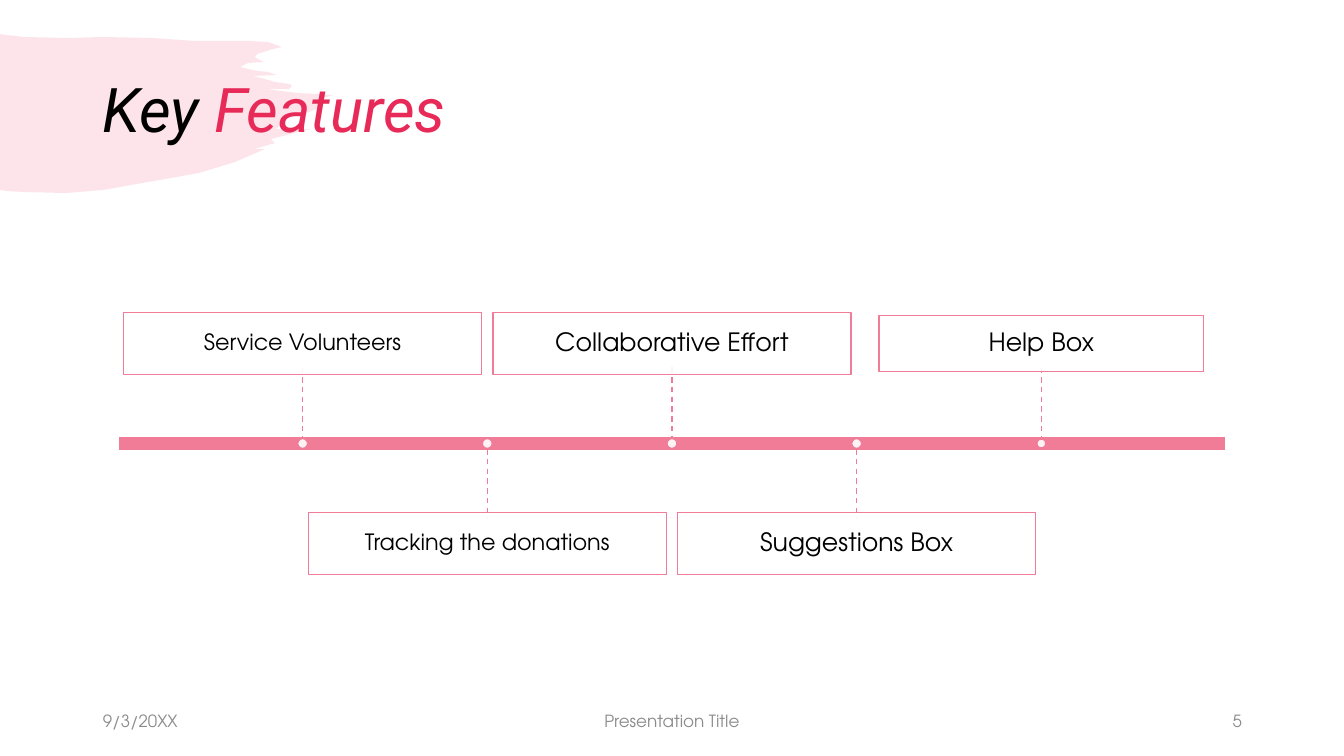
from lxml.etree import SubElement
from pptx import Presentation
from pptx.dml.color import RGBColor
from pptx.enum.dml import MSO_LINE
from pptx.enum.shapes import MSO_CONNECTOR, MSO_SHAPE as SHAPE
from pptx.enum.text import MSO_ANCHOR, PP_ALIGN as ALIGN
from pptx.oxml.ns import qn
from pptx.util import Pt

PX = 914400 / 100.8
PINK, RED = RGBColor(0xF0, 0x7C, 0x98), RGBColor(0xE7, 0x2A, 0x58)
BLACK, WHITE = RGBColor(0, 0, 0), RGBColor(255, 255, 255)
GRAY = RGBColor(0x8C, 0x8C, 0x8C)
TITLE_FONT, BODY_FONT = "Roboto", "TeX Gyre Adventor"

TITLE = [("Key ", BLACK), ("Features", RED)]
# label, text size, card width, card height, dot size
FEATURES = [
    ("Service Volunteers", 16, 358, 62, 10),
    ("Tracking the donations", 16, 358, 62, 10),
    ("Collaborative Effort", 18, 358, 62, 10),
    ("Suggestions Box", 18, 358, 62, 10),
    ("Help Box", 18, 325, 56, 9),
]
# text, left, width, alignment
FOOTER = [
    ("9/3/20XX", 93, 302, ALIGN.LEFT),
    ("Presentation Title", 445, 454, ALIGN.CENTER),
    ("5", 950, 302, ALIGN.RIGHT),
]
BRUSH = [
    (0, 34), (6, 35), (25, 37), (67, 38), (103, 37), (152, 38), (196, 41),
    (250, 41), (268, 42), (282, 47), (273, 49), (257, 54), (255, 57), (258, 59),
    (264, 62), (248, 63), (240, 67), (248, 69), (258, 71), (268, 72), (277, 75),
    (253, 76), (265, 79), (275, 82), (282, 83), (290, 84), (292, 86), (289, 89),
    (286, 89), (265, 89), (298, 93), (333, 95), (324, 98), (321, 107),
    (309, 112), (302, 114), (285, 117), (282, 121), (280, 126), (276, 129),
    (310, 129), (271, 139), (275, 143), (254, 149), (265, 149), (235, 162),
    (199, 173), (103, 190), (66, 193), (23, 192), (7, 191), (0, 190),
]
AXIS_LEFT, AXIS_TOP, AXIS_WIDTH, AXIS_HEIGHT = 118, 436, 1108, 15
AXIS_MIDDLE = AXIS_TOP + AXIS_HEIGHT / 2
CARD_OFFSET = 100
STEM_LENGTH, STEM_OVERLAP = 80, 4


def emu(*pixels):
    """Turn pixels into EMU."""
    return [round(value * PX) for value in pixels]


def paint(shape, fill, opacity=100, line=None):
    """Set fill, opacity and outline, without a shadow."""
    shape.shadow.inherit = False
    shape.fill.solid()
    shape.fill.fore_color.rgb = fill
    if opacity < 100:
        color = shape.fill._xPr.find(qn("a:solidFill"))[0]
        SubElement(color, qn("a:alpha")).set("val", str(opacity * 1000))
    if line is None:
        shape.line.fill.background()
    else:
        shape.line.color.rgb = line
        shape.line.width = Pt(1)


def add_centred(kind, x, y, width, height):
    """Add a preset shape around a centre point."""
    return page.shapes.add_shape(
        kind, *emu(x - width / 2, y - height / 2, width, height))


def write(shape, spans, font, size, align=ALIGN.LEFT, spacing=1.0):
    """Write one paragraph of (text, colour) spans, centred vertically."""
    frame = shape.text_frame
    frame.word_wrap = True
    frame.vertical_anchor = MSO_ANCHOR.MIDDLE
    para = frame.paragraphs[0]
    para.alignment, para.line_spacing = align, spacing
    para.font.name, para.font.size = font, Pt(size)
    for text, color in spans:
        span = para.add_run()
        span.text = text
        span.font.color.rgb = color
    return para


def add_stem(x, side):
    """Add the dashed line from the axis to a card; side is -1 above, 1 below."""
    start = AXIS_MIDDLE - side * STEM_OVERLAP
    ends = sorted((start, start + side * STEM_LENGTH))
    stem = page.shapes.add_connector(
        MSO_CONNECTOR.STRAIGHT, *emu(x, ends[0], x, ends[1]))
    stem.line.color.rgb, stem.line.width = PINK, Pt(1)
    stem.line.dash_style = MSO_LINE.DASH
    SubElement(stem._element.spPr, qn("a:effectLst"))


def add_feature(index, label, size, width, height, dot_size):
    """Add stem, card and dot of one feature, alternating above and below."""
    x = AXIS_LEFT + AXIS_WIDTH * (index + 1) / (len(FEATURES) + 1)
    side = 1 if index % 2 else -1
    add_stem(x, side)
    card = add_centred(
        SHAPE.RECTANGLE, x, AXIS_MIDDLE + side * CARD_OFFSET, width, height)
    paint(card, WHITE, 90, PINK)
    frame = card.text_frame
    frame.margin_left = frame.margin_right = emu(16)[0]
    frame.margin_top = frame.margin_bottom = emu(3)[0]
    write(card, [(label, BLACK)], BODY_FONT, size, ALIGN.CENTER, 0.9)
    dot = add_centred(SHAPE.OVAL, x, AXIS_MIDDLE, dot_size, dot_size)
    paint(dot, WHITE, 90, PINK)


deck = Presentation()
deck.slide_width, deck.slide_height = emu(1344, 756)
page = deck.slides.add_slide(deck.slide_layouts[6])

builder = page.shapes.build_freeform(*BRUSH[0], scale=PX)
builder.add_line_segments(BRUSH[1:], close=True)
paint(builder.convert_to_shape(), PINK, 20)

title = page.shapes.add_textbox(*emu(93, 40, 1159, 146))
write(title, TITLE, TITLE_FONT, 44, spacing=0.9).font.italic = True

axis = page.shapes.add_shape(
    SHAPE.RECTANGLE, *emu(AXIS_LEFT, AXIS_TOP, AXIS_WIDTH, AXIS_HEIGHT))
paint(axis, PINK, line=WHITE)
for index, feature in enumerate(FEATURES):
    add_feature(index, *feature)

for text, left, width, align in FOOTER:
    box = page.shapes.add_textbox(*emu(left, 701, width, 40))
    write(box, [(text, GRAY)], BODY_FONT, 12, align)

deck.save("out.pptx")
